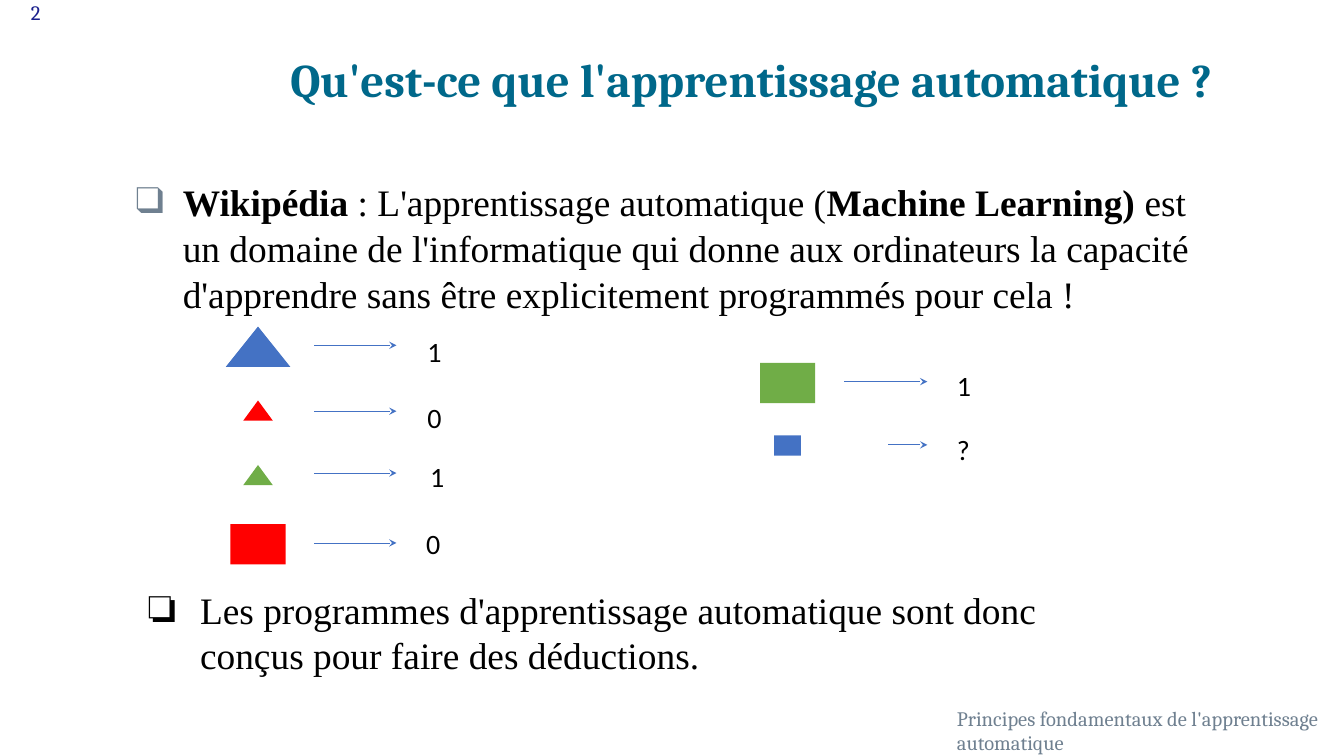
from lxml.etree import SubElement
from pptx import Presentation
from pptx.dml.color import RGBColor
from pptx.enum.shapes import MSO_CONNECTOR, MSO_SHAPE
from pptx.enum.text import MSO_ANCHOR, MSO_AUTO_SIZE, PP_ALIGN
from pptx.oxml.ns import qn
from pptx.util import Inches, Pt

TEAL = RGBColor(0x00, 0x68, 0x8A)
NAVY = RGBColor(0x1A, 0x20, 0x8D)
GRAY = RGBColor(0x6F, 0x80, 0x90)
BLACK = RGBColor(0x00, 0x00, 0x00)
BLUE = RGBColor(0x44, 0x72, 0xC4)
RED = RGBColor(0xFF, 0x00, 0x00)
GREEN = RGBColor(0x70, 0xAD, 0x47)

SERIF = "Times New Roman"
TRIANGLE = MSO_SHAPE.ISOSCELES_TRIANGLE
SQUARE = MSO_SHAPE.RECTANGLE

DEFINITION = [
    ("Wikipédia ", True),
    (": L'apprentissage automatique (", False),
    ("Machine Learning)", True),
    (" est un domaine de l'informatique qui donne aux ordinateurs la capacité "
     "d'apprendre sans être explicitement programmés pour cela !", False),
]
CONCLUSION = [
    ("Les programmes d'apprentissage automatique sont donc conçus pour faire "
     "des déductions.", False),
]

# kind, centre x, top, width, height, colour, arrow start, arrow end, arrow y, label, label left, label top
EXAMPLES = [
    (TRIANGLE, 1.92, 2.43, 0.48, 0.3, BLUE, 2.34, 2.95, 2.57, "1", 3.15, 2.46),
    (TRIANGLE, 1.92, 2.98, 0.22, 0.15, RED, 2.34, 2.95, 3.06, "0", 3.15, 2.95),
    (TRIANGLE, 1.92, 3.46, 0.22, 0.15, GREEN, 2.34, 2.95, 3.52, "1", 3.17, 3.39),
    (SQUARE, 1.92, 3.9, 0.41, 0.3, RED, 2.34, 2.95, 4.04, "0", 3.14, 3.89),
    (SQUARE, 5.86, 2.7, 0.41, 0.3, GREEN, 6.28, 6.9, 2.84, "1", 7.09, 2.71),
    (SQUARE, 5.86, 3.24, 0.2, 0.15, BLUE, 6.61, 6.9, 3.31, "?", 7.09, 3.19),
]


def prepare_box(shape, left, top, width, height, inset_top, inset_side=0):
    """Place a text shape, set its margins and return its first paragraph."""
    shape.left, shape.top = Inches(left), Inches(top)
    shape.width, shape.height = Inches(width), Inches(height)
    frame = shape.text_frame
    frame.word_wrap = True
    frame.auto_size = MSO_AUTO_SIZE.NONE
    frame.vertical_anchor = MSO_ANCHOR.TOP
    frame.margin_left = frame.margin_right = Inches(inset_side)
    frame.margin_top = Inches(inset_top)
    frame.margin_bottom = Inches(inset_side)
    paragraph = frame.paragraphs[0]
    paragraph.alignment = PP_ALIGN.LEFT
    paragraph.space_before = Pt(0)
    return paragraph


def set_indent(paragraph, margin, first_line=0):
    """Set the left margin and first-line indent of a paragraph."""
    properties = paragraph._p.get_or_add_pPr()
    properties.set("marL", str(Inches(margin)))
    properties.set("indent", str(Inches(first_line)))
    return properties


def set_font(paragraph, name, size, color, bold=None):
    """Set the font shared by all runs of a paragraph."""
    font = paragraph.font
    font.name, font.size, font.bold = name, Pt(size), bold
    font.color.rgb = color


def add_text(slide, text, bounds, name, size, color, inset_top=0.03):
    """Add a text box holding one line of plain text."""
    box = slide.shapes.add_textbox(0, 0, 0, 0)
    paragraph = prepare_box(box, *bounds, inset_top)
    paragraph.text = text
    set_indent(paragraph, 0.03)
    set_font(paragraph, name, size, color)


def fill_bullet(paragraph, parts, bullet, color, margin, first_line):
    """Write a bulleted paragraph from pairs of text and boldness."""
    properties = set_indent(paragraph, margin, first_line)
    bullet_color = SubElement(properties, qn("a:buClr"))
    SubElement(bullet_color, qn("a:srgbClr"), val=str(color))
    SubElement(properties, qn("a:buFont"), typeface=SERIF)
    SubElement(properties, qn("a:buChar"), char=bullet)
    for text, bold in parts:
        run = paragraph.add_run()
        run.text = text
        run.font.bold = bold
    set_font(paragraph, SERIF, 20, BLACK)


def add_figure(slide, kind, center, top, width, height, color):
    """Add a filled shape centred on a column."""
    figure = slide.shapes.add_shape(
        kind, Inches(center - width / 2), Inches(top), Inches(width), Inches(height))
    figure.shadow.inherit = False
    figure.fill.solid()
    figure.fill.fore_color.rgb = color
    figure.line.fill.background()


def add_arrow(slide, start, end, height):
    """Add a thin horizontal arrow."""
    arrow = slide.shapes.add_connector(
        MSO_CONNECTOR.STRAIGHT, Inches(start), Inches(height), Inches(end), Inches(height))
    arrow.line.color.rgb = BLUE
    arrow.line.width = Pt(0.4)
    SubElement(arrow.line._get_or_add_ln(), qn("a:tailEnd"), type="stealth", w="sm", len="sm")
    SubElement(arrow._element.spPr, qn("a:effectLst"))


def main():
    """Build the slide and save it."""
    presentation = Presentation()
    presentation.slide_width = Inches(10)
    presentation.slide_height = presentation.slide_width * 9 // 16
    slide = presentation.slides.add_slide(presentation.slide_layouts[1])

    add_text(slide, "2", (0.2, -0.02, 0.16, 0.21), "Cambria", 11, NAVY, 0.02)

    title = prepare_box(slide.shapes.title, 0.56, 0.35, 8.88, 0.88, 0.03)
    title.text = "Qu'est-ce que l'apprentissage automatique ?"
    set_indent(title, 1.6)
    set_font(title, "Cambria", 25, TEAL, True)

    definition = prepare_box(slide.placeholders[1], 0.98, 1.31, 8.14, 1.04, 0.01)
    definition.line_spacing = 1.03
    fill_bullet(definition, DEFINITION, "❑", GRAY, 0.38, -0.35)

    for kind, center, top, width, height, color, start, end, level, label, left, label_top in EXAMPLES:
        add_figure(slide, kind, center, top, width, height, color)
        add_arrow(slide, start, end, level)
        add_text(slide, label, (left, label_top, 0.16, 0.28), "Calibri", 15, BLACK)

    add_text(slide, "Principes fondamentaux de l'apprentissage automatique",
             (7.09, 5.21, 2.92, 0.41), "Cambria", 11, GRAY, 0.04)

    box = slide.shapes.add_textbox(0, 0, 0, 0)
    conclusion = prepare_box(box, 0.89, 4.27, 7.76, 0.88, 0.1, 0.1)
    fill_bullet(conclusion, CONCLUSION, "❏", BLACK, 0.5, -0.39)

    presentation.save("out.pptx")


if __name__ == "__main__":
    main()
